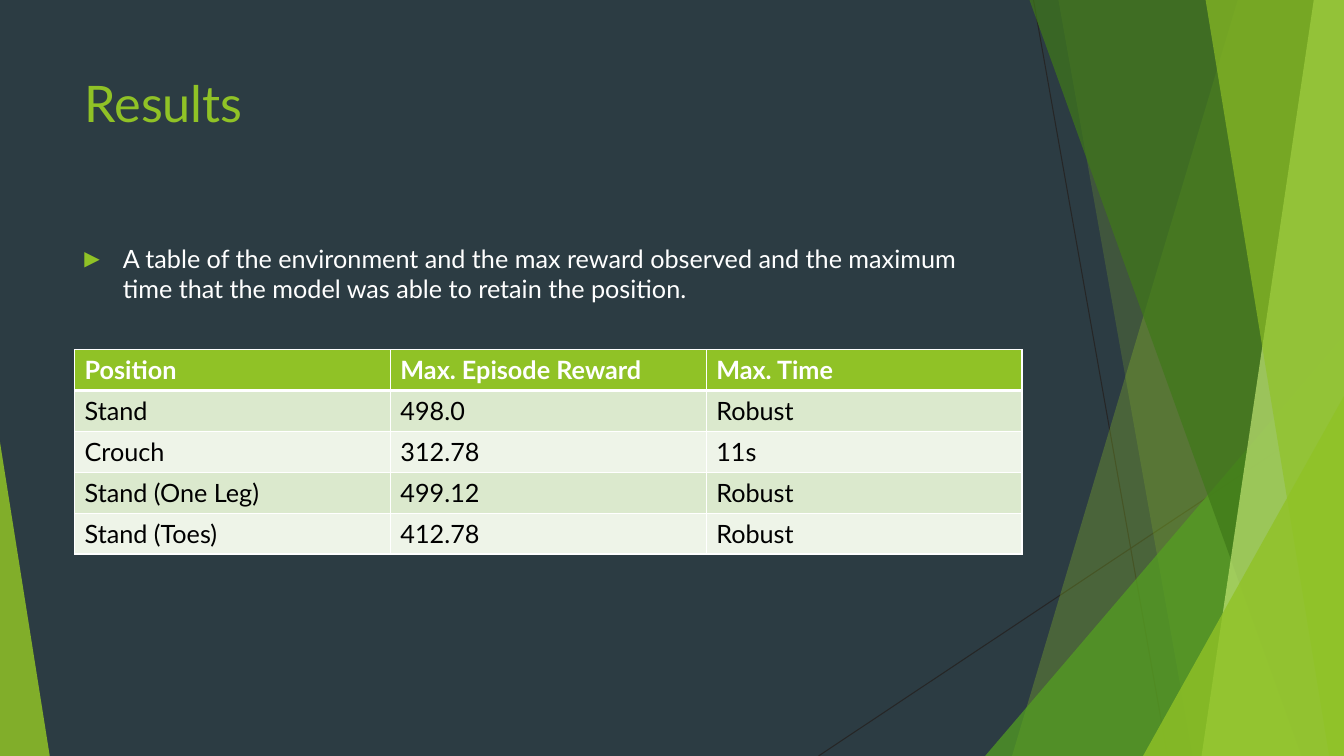
import dataclasses
import typing

import pptx
import pptx.dml.color
import pptx.enum.shapes
import pptx.enum.text
import pptx.oxml
import pptx.oxml.ns
import pptx.util

SLIDE_WIDTH = pptx.util.Inches(13.33)
SLIDE_HEIGHT = pptx.util.Inches(7.5)
GREEN = "90C226"
WHITE = "FFFFFF"
CONTENT_LEFT = 5.55
CONTENT_WIDTH = 70.5


@dataclasses.dataclass
class Ray:
    start: tuple[float, float]
    end: tuple[float, float]


@dataclasses.dataclass
class Band:
    top_left: float
    bottom_left: float
    color: str
    opacity: int


@dataclasses.dataclass
class Corner:
    left: float
    top: float
    width: float
    apex: float
    color: str
    opacity: int


RAYS = [Ray((76.9, 0), (86.87, 100)), Ray((100, 53.75), (60.9, 100))]
FACETS: list[Band | Corner] = [
    Band(92.1, 75.3, GREEN, 30),
    Band(78.75, 88.75, GREEN, 20),
    Corner(73.3, 44.4, 26.7, 1, "54A021", 72),
    Band(76.6, 96.85, "3F7819", 70),
    Band(97.75, 89.4, "C0E474", 70),
    Band(89.7, 98.9, GREEN, 65),
    Corner(85.05, 52.4, 14.95, 1, GREEN, 80),
    Corner(0, 58.5, 3.7, 0, GREEN, 85),
]
RESULTS = [
    ("Position", "Max. Episode Reward", "Max. Time"),
    ("Stand", "498.0", "Robust"),
    ("Crouch", "312.78", "11s"),
    ("Stand (One Leg)", "499.12", "Robust"),
    ("Stand (Toes)", "412.78", "Robust"),
]


def across(percent: float) -> int:
    return round(SLIDE_WIDTH * percent / 100)


def down(percent: float) -> int:
    return round(SLIDE_HEIGHT * percent / 100)


def color_of(value: str) -> pptx.dml.color.RGBColor:
    return pptx.dml.color.RGBColor.from_string(value)


def add_xml(parent: typing.Any, xml: str) -> None:
    tag, rest = xml.split(" ", 1)
    namespace = pptx.oxml.ns.nsdecls("a")
    parent.append(pptx.oxml.parse_xml(f"{tag} {namespace} {rest}"))


def write_text(frame: typing.Any, text: str, *, size: float = 18, color: str = WHITE,
               bold: bool = False, space_before: float = 0) -> typing.Any:
    frame.word_wrap = True
    paragraph = frame.paragraphs[0]
    paragraph.space_before = pptx.util.Pt(space_before)
    run = paragraph.add_run()
    run.text = text
    run.font.name = "Lato"
    run.font.size = pptx.util.Pt(size)
    run.font.bold = bold
    run.font.color.rgb = color_of(color)
    return paragraph


def add_text_box(slide: typing.Any, top: float, height: float, text: str,
                 **text_format: typing.Any) -> typing.Any:
    box = slide.shapes.add_textbox(
        across(CONTENT_LEFT), down(top), across(CONTENT_WIDTH), down(height))
    box.text_frame.vertical_anchor = pptx.enum.text.MSO_ANCHOR.TOP
    return write_text(box.text_frame, text, **text_format)


def add_bullet(paragraph: typing.Any, indent: float) -> None:
    properties = paragraph._p.get_or_add_pPr()
    offset = pptx.util.Inches(indent)
    properties.set("marL", str(offset))
    properties.set("indent", str(-offset))
    add_xml(properties, f'<a:buClr ><a:srgbClr val="{GREEN}"/></a:buClr>')
    add_xml(properties, '<a:buSzPct val="80000"/>')
    add_xml(properties, '<a:buFont typeface="DejaVu Sans"/>')
    add_xml(properties, '<a:buChar char="▶"/>')


def draw_ray(slide: typing.Any, ray: Ray) -> None:
    connector = slide.shapes.add_connector(
        pptx.enum.shapes.MSO_CONNECTOR.STRAIGHT,
        across(ray.start[0]), down(ray.start[1]), across(ray.end[0]), down(ray.end[1]))
    connector.line.color.rgb = color_of("262626")
    connector.line.width = pptx.util.Pt(0.75)
    add_xml(connector.element.spPr, "<a:effectLst />")


def draw_facet(slide: typing.Any, facet: Band | Corner) -> None:
    if isinstance(facet, Band):
        builder = slide.shapes.build_freeform(across(facet.top_left), 0)
        builder.add_line_segments([
            (SLIDE_WIDTH, 0), (SLIDE_WIDTH, SLIDE_HEIGHT),
            (across(facet.bottom_left), SLIDE_HEIGHT)], close=True)
        shape = builder.convert_to_shape()
    else:
        shape = slide.shapes.add_shape(
            pptx.enum.shapes.MSO_SHAPE.ISOSCELES_TRIANGLE,
            across(facet.left), down(facet.top), across(facet.width), down(100 - facet.top))
        shape.adjustments[0] = facet.apex
    shape.shadow.inherit = False
    shape.line.fill.background()
    shape.fill.solid()
    shape.fill.fore_color.rgb = color_of(facet.color)
    fill_color = shape.element.spPr.xpath("a:solidFill/a:srgbClr")[0]
    add_xml(fill_color, f'<a:alpha val="{facet.opacity * 1000}"/>')


def format_cell(cell: typing.Any, text: str, row: int) -> None:
    header = row == 0
    widths = {"L": 1, "R": 1, "T": 3 if row == 1 else 1, "B": 3 if header else 1}
    properties = cell._tc.get_or_add_tcPr()
    for side, width in widths.items():
        add_xml(properties, f'<a:ln{side} w="{pptx.util.Pt(width)}"><a:solidFill>'
                            f'<a:srgbClr val="{WHITE}"/></a:solidFill></a:ln{side}>')
    cell.fill.solid()
    fill = GREEN if header else ("EEF4E8", "DBE9CD")[row % 2]
    cell.fill.fore_color.rgb = color_of(fill)
    write_text(cell.text_frame, text, color=WHITE if header else "000000", bold=header)


def draw_results(slide: typing.Any) -> None:
    table = slide.shapes.add_table(
        len(RESULTS), len(RESULTS[0]), across(CONTENT_LEFT), down(46.25),
        across(CONTENT_WIDTH), down(27.05)).table
    for row, values in enumerate(RESULTS):
        for column, text in enumerate(values):
            format_cell(table.cell(row, column), text, row)


def main() -> None:
    presentation = pptx.Presentation()
    presentation.slide_width = SLIDE_WIDTH
    presentation.slide_height = SLIDE_HEIGHT
    slide = presentation.slides.add_slide(presentation.slide_layouts[6])
    slide.background.fill.solid()
    slide.background.fill.fore_color.rgb = color_of("2C3C43")
    for ray in RAYS:
        draw_ray(slide, ray)
    for facet in FACETS:
        draw_facet(slide, facet)
    add_text_box(slide, 8.9, 19.2, "Results", size=36, color=GREEN)
    summary = add_text_box(
        slide, 31.5, 56.5,
        "A table of the environment and the max reward observed and the maximum time "
        "that the model was able to retain the position.", space_before=10)
    add_bullet(summary, 0.38)
    draw_results(slide)
    presentation.save("out.pptx")


if __name__ == "__main__":
    main()
